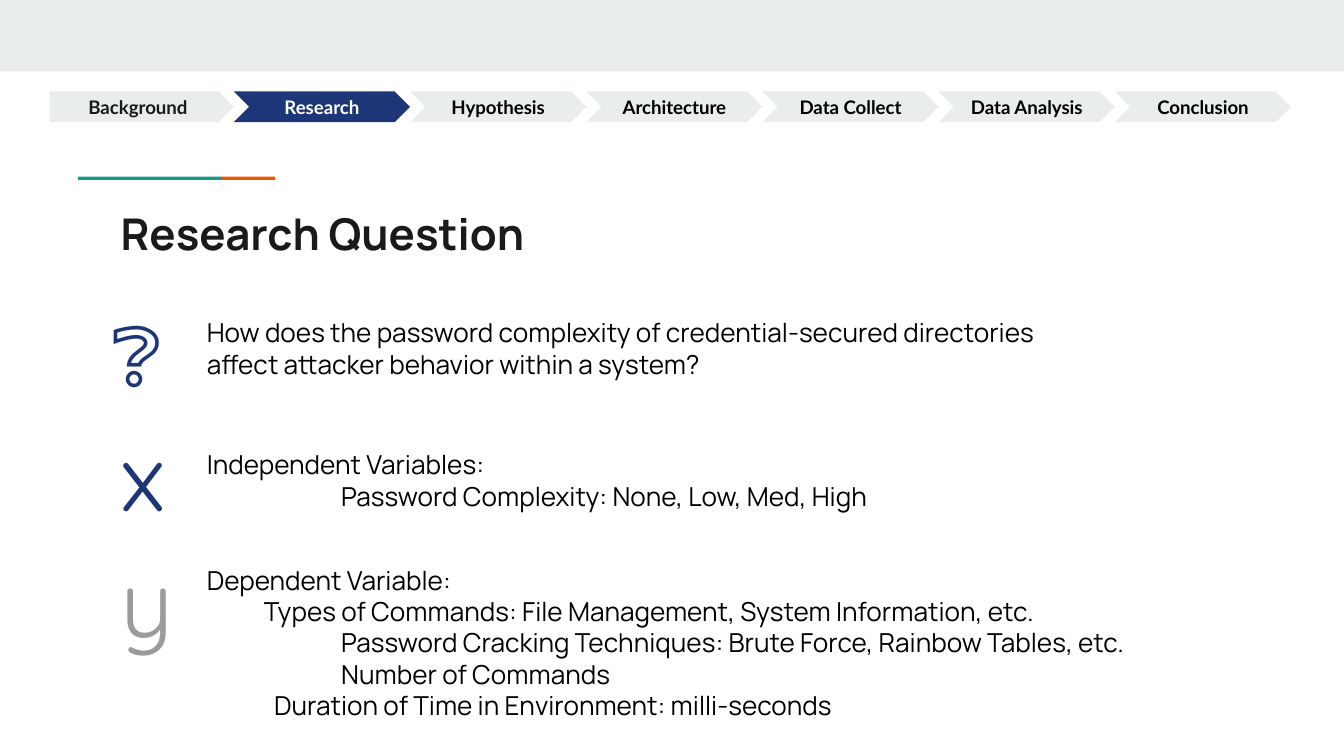
import pptx
import pptx.util
import pptx.dml.color
import pptx.enum.shapes
import pptx.enum.text
from pptx.util import Cm, Pt

COLORS = {
    "band": "E9EDEE", "teal": "1A9988", "orange": "EB5600", "navy": "1C3678",
    "gray": "9B9B9B", "ink": "1A1A1A", "black": "000000", "white": "FFFFFF",
}
SHAPES = pptx.enum.shapes.MSO_SHAPE
ALIGN = pptx.enum.text.PP_ALIGN
ANCHOR = pptx.enum.text.MSO_ANCHOR
INSET = 0.25
STEPS = ["Background", "Research", "Hypothesis", "Architecture",
         "Data Collect", "Data Analysis", "Conclusion"]
CURRENT_STEP = "Research"

# Each block: top, height, and lines of (text, indent)
BLOCKS = [
    (5.74, 2.2, [
        ("How does the password complexity of credential-secured directories", 0),
        ("affect attacker behavior within a system?", 0)]),
    (8.23, 2.0, [
        ("Independent Variables:", 0),
        ("Password Complexity: None, Low, Med, High", 2.54)]),
    (10.41, 3.66, [
        ("Dependent Variable:", 0),
        ("Types of Commands: File Management, System Information, etc.", 1.08),
        ("Password Cracking Techniques: Brute Force, Rainbow Tables, etc.", 2.54),
        ("Number of Commands", 2.54),
        ("Duration of Time in Environment: milli-seconds", 1.27)]),
]


def rgb(name):
    return pptx.dml.color.RGBColor.from_string(COLORS[name])


def write(paragraph, text, size, font, color, bold=False, align=ALIGN.LEFT,
          indent=0, line_spacing=None, space_before=0):
    if indent:
        paragraph._p.get_or_add_pPr().set("marL", str(Cm(indent)))
    paragraph.alignment = align
    paragraph.space_before = Pt(space_before)
    if line_spacing:
        paragraph.line_spacing = line_spacing
    run = paragraph.add_run()
    run.text = text
    run.font.size = Pt(size)
    run.font.name = font
    run.font.bold = bold
    run.font.color.rgb = rgb(color)


def set_frame(frame, inset=INSET, anchor=ANCHOR.TOP, wrap=True):
    frame.margin_left = frame.margin_right = Cm(inset)
    frame.margin_top = frame.margin_bottom = Cm(inset)
    frame.vertical_anchor = anchor
    frame.word_wrap = wrap
    frame.auto_size = pptx.enum.text.MSO_AUTO_SIZE.NONE


def add_filled(slide, kind, left, top, width, height, color):
    shape = slide.shapes.add_shape(kind, Cm(left), Cm(top), Cm(width), Cm(height))
    shape.shadow.inherit = False
    shape.fill.solid()
    shape.fill.fore_color.rgb = rgb(color)
    shape.line.fill.background()
    return shape


def add_text_box(slide, left, top, width, height, wrap=True):
    box = slide.shapes.add_textbox(Cm(left), Cm(top), Cm(width), Cm(height))
    set_frame(box.text_frame, wrap=wrap)
    return box.text_frame


def add_navigation(slide, left, top, width, height):
    """Row of steps; the first is a little wider than the others."""
    first_width = 3.48
    pitch = (width - first_width) / (len(STEPS) - 1)
    for index, step in enumerate(STEPS):
        current = step == CURRENT_STEP
        first = index == 0
        shape = add_filled(
            slide, SHAPES.PENTAGON if first else SHAPES.CHEVRON,
            left if first else left + first_width + (index - 1) * pitch, top,
            first_width if first else pitch, height,
            "navy" if current else "band")
        shape.adjustments[0] = 0.5
        set_frame(shape.text_frame, inset=0, anchor=ANCHOR.MIDDLE)
        color = "white" if current else "ink" if first else "black"
        write(shape.text_frame.paragraphs[0], step, 10, "Lato", color,
              bold=True, align=ALIGN.CENTER)


def add_accent(slide, left, top, width, height):
    teal_width = width * 0.73
    add_filled(slide, SHAPES.RECTANGLE, left, top, teal_width, height, "teal")
    add_filled(slide, SHAPES.RECTANGLE, left + teal_width, top,
               width - teal_width, height, "orange")


def place_title(slide, left, top, width, height):
    title = slide.shapes.title
    title.left, title.top = Cm(left), Cm(top)
    title.width, title.height = Cm(width), Cm(height)
    set_frame(title.text_frame, anchor=ANCHOR.MIDDLE)
    write(title.text_frame.paragraphs[0], "Research Question", 23.4, "Manrope",
          "ink", bold=True)


def add_marks(slide, left, top, width):
    """Symbols beside the text: question mark, x and y."""
    question = add_text_box(slide, left, top, 1.17, 1.14, wrap=False)
    write(question.paragraphs[0], "❔", 40, "Lato", "navy")
    variables = add_text_box(slide, left + 0.2, top + 2.14, width, 4.83)
    write(variables.paragraphs[0], "x", 50, "Quicksand", "navy")
    write(variables.add_paragraph(), "y", 50, "Quicksand", "gray", space_before=7.5)


def add_blocks(slide, left, width):
    for top, height, lines in BLOCKS:
        frame = add_text_box(slide, left, top, width, height)
        for index, (text, indent) in enumerate(lines):
            paragraph = frame.add_paragraph() if index else frame.paragraphs[0]
            write(paragraph, text, 14, "Manrope", "black", indent=indent,
                  line_spacing=Pt(16.8))


def main():
    presentation = pptx.Presentation()
    presentation.slide_width = Cm(25.4)
    presentation.slide_height = Cm(14.29)
    slide = presentation.slides.add_slide(presentation.slide_layouts[5])

    # Header
    add_filled(slide, SHAPES.RECTANGLE, 0, 0, 25.4, 1.35, "band")
    add_navigation(slide, 0.94, 1.73, 23.46, 0.58)

    # Title
    add_accent(slide, 1.47, 3.34, 3.73, 0.06)
    place_title(slide, 2.03, 3.66, 21.36, 1.5)

    # Question and variables
    add_marks(slide, 1.83, 5.51, 2.06)
    add_blocks(slide, 3.66, 19.53)

    presentation.save("out.pptx")


if __name__ == "__main__":
    main()
